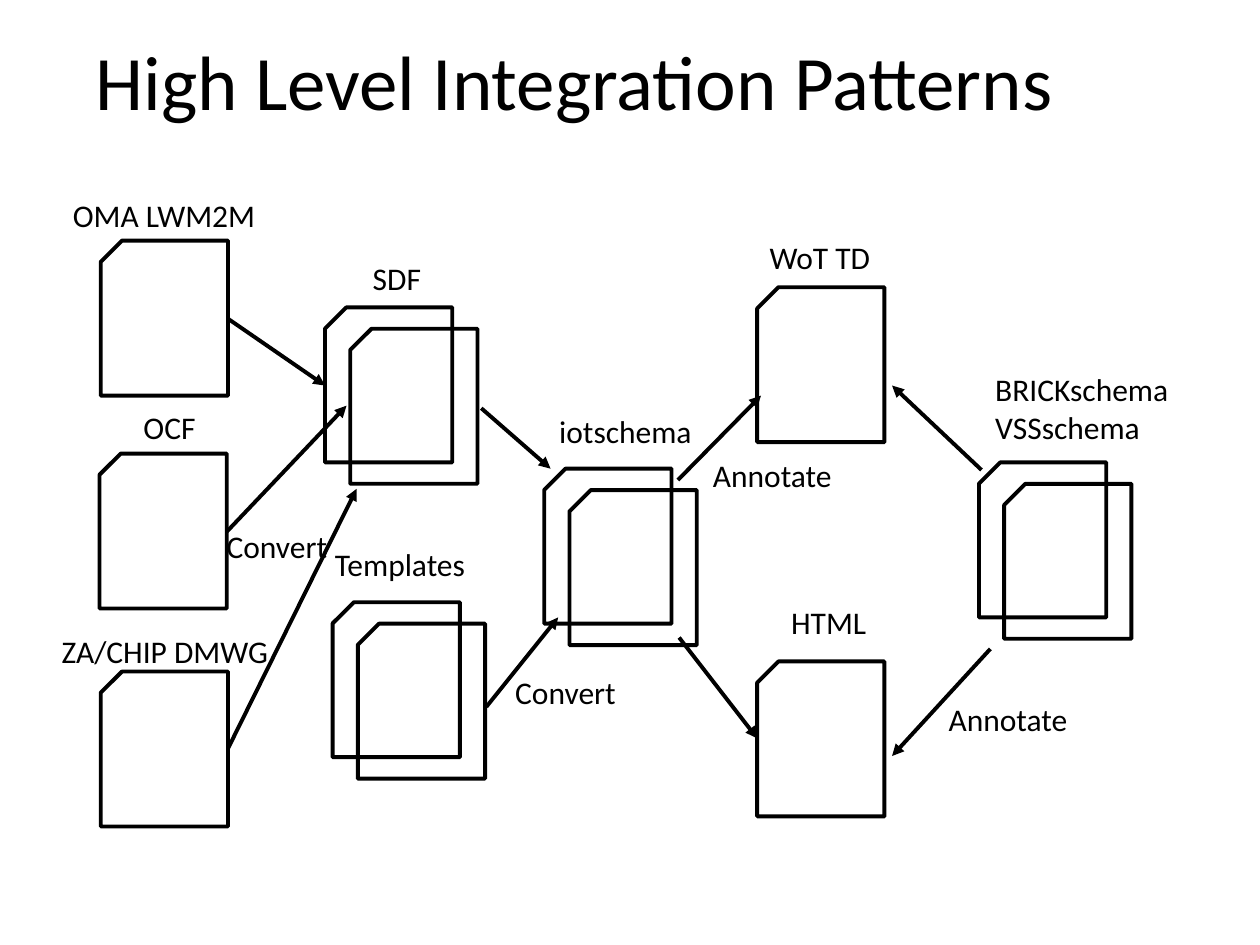
"""Build the High Level Integration Patterns slide."""
import pptx
import pptx.dml.color
import pptx.enum.shapes
import pptx.enum.text
import pptx.oxml.ns
import pptx.util
from lxml import etree
from pptx.util import Inches

COLORS = {"ink": "000000"}
FONT = "Calibri"
LINE_WIDTH = pptx.util.Pt(2.25)
DOCUMENT_SIZE = (1.01, 1.23)
STACK_OFFSET = (0.2, 0.17)

TITLE = "High Level Integration Patterns"
DOCUMENTS = [
    ("OMA LWM2M", (0.8, 1.91), 1, (0.48, 1.51, 1.66, 0.4)),
    ("OCF", (0.79, 3.6), 1, (1.04, 3.19, 0.62, 0.4)),
    ("ZA/CHIP DMWG", (0.8, 5.33), 1, (0.39, 4.97, 1.86, 0.4)),
    ("SDF", (2.58, 2.44), 2, (2.86, 2.01, 0.59, 0.4)),
    ("Templates", (2.64, 4.78), 2, (2.56, 4.28, 1.25, 0.4)),
    ("iotschema", (4.32, 3.72), 2, (4.34, 3.22, 1.26, 0.4)),
    ("WoT TD", (6.01, 2.28), 1, (6.01, 1.84, 1.01, 0.4)),
    ("HTML", (6.01, 5.25), 1, (6.18, 4.74, 0.81, 0.4)),
    ("BRICKschema\nVSSschema", (7.77, 3.67), 2, (7.8, 2.89, 1.59, 0.71)),
]
ACTIONS = [
    ("Convert", (1.7, 4.13, 1.01, 0.4)),
    ("Convert", (3.99, 5.29, 1.01, 0.4)),
    ("Annotate", (5.56, 3.57, 1.15, 0.4)),
    ("Annotate", (7.43, 5.51, 1.15, 0.4)),
]
ARROWS = [
    ((1.81, 2.53), (2.58, 3.06)),
    ((1.8, 4.22), (2.75, 3.22)),
    ((1.81, 5.94), (2.83, 3.88)),
    ((3.82, 3.24), (4.37, 3.72)),
    ((3.86, 5.61), (4.43, 4.9)),
    ((5.38, 3.81), (6.04, 3.14)),
    ((5.39, 5.06), (6.01, 5.86)),
    ((7.79, 3.73), (7.08, 3.06)),
    ((7.86, 5.15), (7.08, 6)),
]


def color(name):
    return pptx.dml.color.RGBColor.from_string(COLORS[name])


def add_text(page, text, place, size=18, wrap=False, spacing=None,
             anchor=pptx.enum.text.MSO_ANCHOR.TOP):
    box = page.shapes.add_textbox(*map(Inches, place))
    frame = box.text_frame
    frame.word_wrap = wrap
    frame.vertical_anchor = anchor
    if not wrap:
        frame.auto_size = pptx.enum.text.MSO_AUTO_SIZE.SHAPE_TO_FIT_TEXT
    for index, line in enumerate(text.split("\n")):
        para = frame.add_paragraph() if index else frame.paragraphs[0]
        para.line_spacing = spacing
        span = para.add_run()
        span.text = line
        span.font.name = FONT
        span.font.size = pptx.util.Pt(size)
        span.font.color.rgb = color("ink")


def style_line(shape):
    shape.line.color.rgb = color("ink")
    shape.line.width = LINE_WIDTH


def add_document(page, left, top):
    document = page.shapes.add_shape(
        pptx.enum.shapes.MSO_SHAPE.SNIP_1_RECTANGLE,
        *map(Inches, (left, top, *DOCUMENT_SIZE)))
    document.shadow.inherit = False
    document.fill.background()
    style_line(document)
    document._element.spPr.find(pptx.oxml.ns.qn("a:xfrm")).set("flipH", "1")


def add_arrow(page, start, end):
    arrow = page.shapes.add_connector(
        pptx.enum.shapes.MSO_CONNECTOR.STRAIGHT, *map(Inches, start + end))
    style_line(arrow)
    head = etree.SubElement(arrow.line._get_or_add_ln(), pptx.oxml.ns.qn("a:tailEnd"))
    head.set("type", "triangle")
    etree.SubElement(arrow._element.spPr, pptx.oxml.ns.qn("a:effectLst"))


deck = pptx.Presentation()
deck.slide_width, deck.slide_height = Inches(10), Inches(7.5)
page = deck.slides.add_slide(deck.slide_layouts[6])

add_text(page, TITLE, (0.66, -0.05, 8.62, 1.45), size=44, wrap=True,
         spacing=0.9, anchor=pptx.enum.text.MSO_ANCHOR.MIDDLE)
for label, (left, top), count, label_place in DOCUMENTS:
    for layer in range(count):
        add_document(page, left + layer * STACK_OFFSET[0], top + layer * STACK_OFFSET[1])
    add_text(page, label, label_place)
for start, end in ARROWS:
    add_arrow(page, start, end)
for action, place in ACTIONS:
    add_text(page, action, place)

deck.save("out.pptx")
